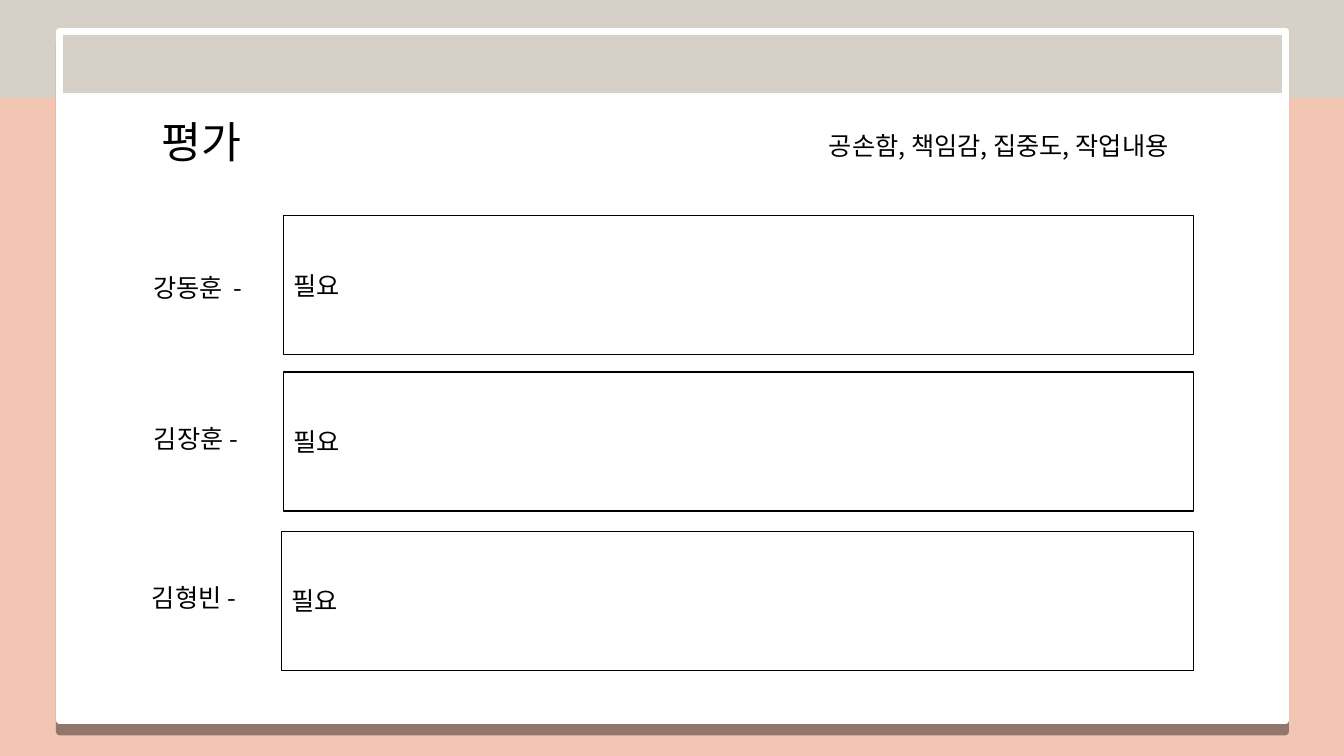
from dataclasses import dataclass

from lxml import etree
from pptx import Presentation
from pptx import util as u
from pptx.dml.color import RGBColor
from pptx.dml.fill import FillFormat
from pptx.enum import shapes, text
from pptx.oxml import ns
from pptx.shapes.autoshape import Shape
from pptx.slide import Slide

PX = 9144  # EMU, 100 px to the inch
FONT = "Noto Sans CJK KR"
WHITE = RGBColor(0xFF, 0xFF, 0xFF)
BLACK = RGBColor(0x00, 0x00, 0x00)
PEACH = RGBColor(0xF3, 0xC6, 0xB3)
STONE = RGBColor(0xD7, 0xD0, 0xC8)

LEFT = text.PP_ALIGN.LEFT
CENTER = text.PP_ALIGN.CENTER


@dataclass(frozen=True)
class Box:
    left: int
    top: int
    width: int
    height: int
    words: str
    border: RGBColor = WHITE
    align: text.PP_ALIGN = CENTER
    size: int = 18


@dataclass(frozen=True)
class Review:
    name: str
    name_left: int
    name_top: int
    note_left: int
    note_top: int


NOTE_RIGHT = 1184
REVIEWS = [
    Review(" 강동훈  -", 108, 248, 281, 214),
    Review(" 김장훈 -", 106, 397, 281, 369),
    Review(" 김형빈 -", 104, 555, 279, 527),
]


def split_fill(fill: FillFormat, lower: RGBColor, upper: RGBColor, percent: int) -> None:
    """Fill with two flat bands, the lower one taking percent of the height."""
    fill.gradient()
    fill.gradient_angle = 90
    for stop, color in zip(fill.gradient_stops, (lower, upper)):
        stop.color.rgb = color
        stop.position = percent / 100


def add_rectangle(page: Slide, left: int, top: int, width: int, height: int,
                  border: RGBColor, points: int) -> Shape:
    shape = page.shapes.add_shape(shapes.MSO_SHAPE.RECTANGLE,
                                  left * PX, top * PX, width * PX, height * PX)
    shape.shadow.inherit = False
    shape.line.color.rgb = border
    shape.line.width = u.Pt(points)
    return shape


def add_drop_shadow(shape: Shape) -> None:
    effects = shape._element.spPr.find(ns.qn("a:effectLst"))
    shadow = etree.SubElement(effects, ns.qn("a:outerShdw"), blurRad="0",
                              dist=str(u.Pt(8)), dir="5400000", rotWithShape="0")
    color = etree.SubElement(shadow, ns.qn("a:srgbClr"), val=str(BLACK))
    etree.SubElement(color, ns.qn("a:alpha"), val="40000")


def add_panel(page: Slide) -> None:
    panel = add_rectangle(page, 59, 31, 1216, 684, WHITE, 5)
    split_fill(panel.fill, WHITE, STONE, 91)
    add_drop_shadow(panel)


def add_box(page: Slide, box: Box) -> None:
    shape = add_rectangle(page, box.left, box.top, box.width, box.height, box.border, 1)
    shape.fill.solid()
    shape.fill.fore_color.rgb = WHITE
    frame = shape.text_frame
    frame.text = box.words
    frame.vertical_anchor = text.MSO_ANCHOR.MIDDLE
    para = frame.paragraphs[0]
    para.alignment = box.align
    span = para.runs[0]
    span.font.size = u.Pt(box.size)
    span.font.color.rgb = BLACK
    span.font.name = FONT
    etree.SubElement(span._r.get_or_add_rPr(), ns.qn("a:ea"), typeface=FONT)


def main() -> None:
    deck = Presentation()
    deck.slide_width, deck.slide_height = 1333 * PX, 750 * PX
    page = deck.slides.add_slide(deck.slide_layouts[6])
    split_fill(page.background.fill, PEACH, STONE, 87)
    add_panel(page)

    add_box(page, Box(78, 111, 234, 59, " 평가", size=31))
    for review in REVIEWS:
        add_box(page, Box(review.note_left, review.note_top,
                          NOTE_RIGHT - review.note_left, 138, "필요", BLACK, LEFT))
    for review in REVIEWS:
        add_box(page, Box(review.name_left, review.name_top, 171, 75, review.name))
    add_box(page, Box(713, 108, 555, 73, "공손함, 책임감, 집중도, 작업내용"))

    deck.save("out.pptx")


if __name__ == "__main__":
    main()
